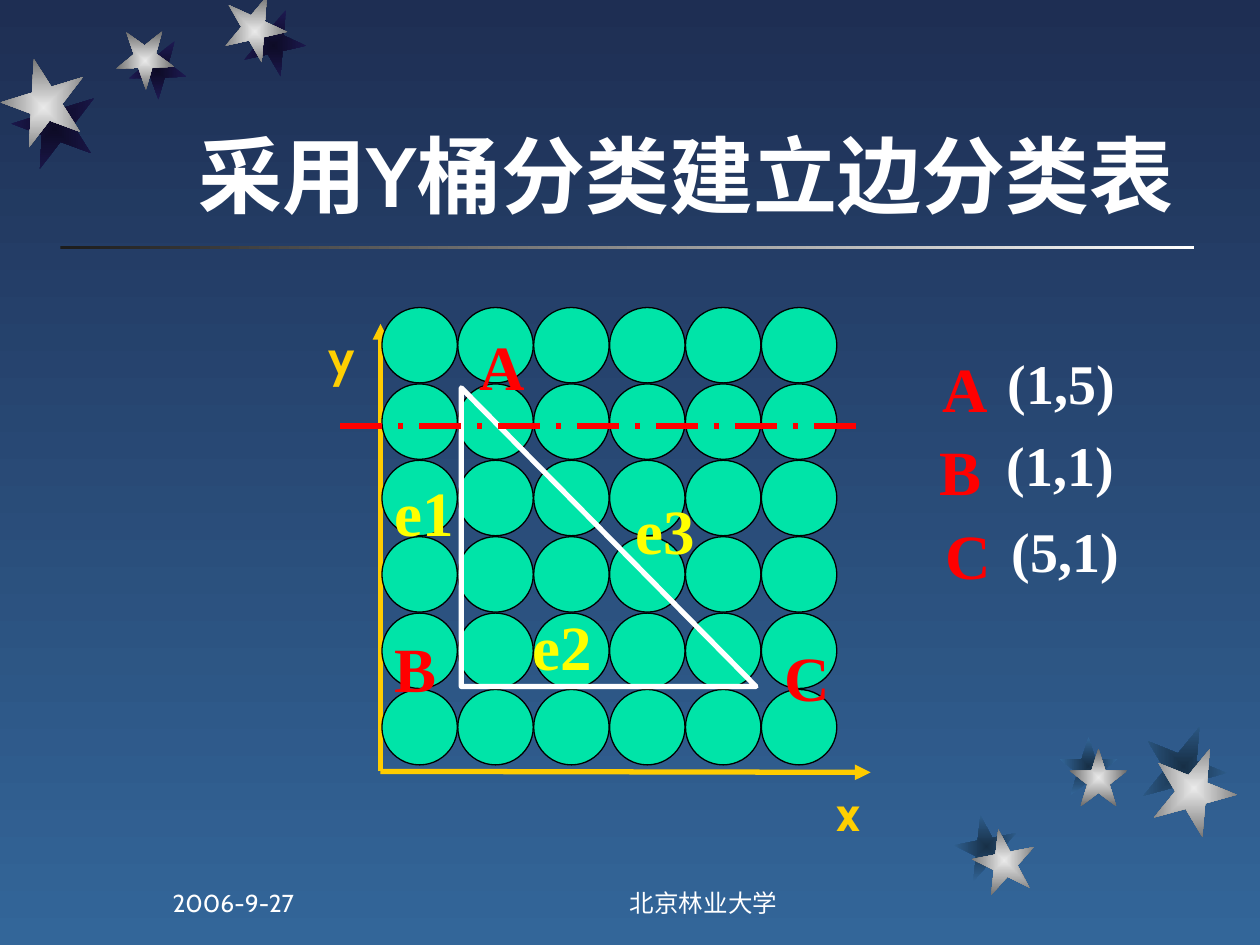
from dataclasses import dataclass

import pptx
import pptx.dml.color
import pptx.enum.dml
import pptx.enum.shapes
import pptx.enum.text
import pptx.oxml
import pptx.oxml.ns
import pptx.util
from pptx.util import Cm

SHAPE = pptx.enum.shapes.MSO_SHAPE
ANCHOR = pptx.enum.text.MSO_ANCHOR
ALIGN = pptx.enum.text.PP_ALIGN


@dataclass(frozen=True)
class Theme:
    sky: tuple = ("1E2E53", "336699")
    rule: tuple = ("1C1C1C", "FFFFFF")
    star: tuple = ("EAEAEA", "6B6B6B")
    dark_shadow: tuple = ("0D0B26", "1E1A53")
    blue_shadow: tuple = ("172F46", "336699")
    white: str = "FFFFFF"
    black: str = "000000"
    pixel: str = "00E4A8"
    axis: str = "FFCC00"
    axis_name: str = "FFCF01"
    vertex: str = "FF0000"
    edge: str = "FFFF00"
    sans: str = "Cabin"
    serif: str = "Times New Roman"
    title_size: int = 48
    label_size: int = 36
    point_size: int = 32
    axis_size: int = 28
    footer_size: int = 14
    stroke: float = 3
    outline: float = 0.75


THEME = Theme()


@dataclass(frozen=True)
class Star:
    left: float
    top: float
    size: float
    turn: float
    shadow_left: float
    shadow_top: float
    shadow: tuple


@dataclass(frozen=True)
class Label:
    text: str
    left: float
    top: float
    width: float
    height: float
    size: int
    color: str
    font: str = THEME.serif
    bold: bool = True
    grow: bool = True
    align: ALIGN = ALIGN.LEFT


def rgb(value: str) -> pptx.dml.color.RGBColor:
    return pptx.dml.color.RGBColor.from_string(value)


def fill_gradient(fill, colors: tuple, angle: float = 0) -> None:
    fill.gradient()
    fill.gradient_angle = angle
    for stop, color, position in zip(fill.gradient_stops, colors, (0, 1)):
        stop.color.rgb = rgb(color)
        stop.position = position


def add_shape(slide, kind: SHAPE, left: float, top: float, width: float, height: float):
    shape = slide.shapes.add_shape(kind, Cm(left), Cm(top), Cm(width), Cm(height))
    shape.shadow.inherit = False
    shape.line.fill.background()
    return shape


def set_line(line, color: str, width: float) -> None:
    line.color.rgb = rgb(color)
    line.width = pptx.util.Pt(width)


def add_star(slide, left: float, top: float, size: float, turn: float, colors: tuple) -> None:
    star = add_shape(slide, SHAPE.STAR_5_POINT, left, top, size, size)
    star.rotation = turn
    fill_gradient(star.fill, colors)
    # Let the gradient spread from the centre
    linear = star.element.spPr.find(".//" + pptx.oxml.ns.qn("a:lin"))
    linear.getparent().replace(linear, pptx.oxml.parse_xml(
        f'<a:path {pptx.oxml.ns.nsdecls("a")} path="rect">'
        '<a:fillToRect l="50000" t="50000" r="50000" b="50000"/></a:path>'))


def add_line(slide, start: tuple, end: tuple, color: str, arrow: bool = False):
    line = slide.shapes.add_connector(
        pptx.enum.shapes.MSO_CONNECTOR.STRAIGHT, *map(Cm, start + end))
    set_line(line.line, color, THEME.stroke)
    if arrow:
        line.line._get_or_add_ln().append(pptx.oxml.parse_xml(
            f'<a:tailEnd {pptx.oxml.ns.nsdecls("a")} type="triangle"/>'))
    line.element.spPr.append(pptx.oxml.parse_xml(
        f'<a:effectLst {pptx.oxml.ns.nsdecls("a")}/>'))
    return line


def add_label(slide, label: Label) -> None:
    box = slide.shapes.add_textbox(
        Cm(label.left), Cm(label.top), Cm(label.width), Cm(label.height))
    frame = box.text_frame
    frame.word_wrap = not label.grow
    if label.grow:
        frame.auto_size = pptx.enum.text.MSO_AUTO_SIZE.SHAPE_TO_FIT_TEXT
    frame.vertical_anchor = ANCHOR.TOP if label.grow else ANCHOR.BOTTOM
    frame.text = label.text
    paragraph = frame.paragraphs[0]
    paragraph.alignment = label.align
    paragraph.font.name = label.font
    paragraph.font.size = pptx.util.Pt(label.size)
    paragraph.font.bold = label.bold
    paragraph.font.color.rgb = rgb(label.color)


def vertex_label(text: str, left: float, top: float) -> Label:
    return Label(text, left, top, 1.42, 1.78, THEME.label_size, THEME.vertex)


def edge_label(text: str, left: float, top: float) -> Label:
    return Label(text, left, top, 2.13, 1.78, THEME.label_size, THEME.edge)


def point_label(text: str, left: float, top: float) -> Label:
    return Label(text, left, top, 2.67, 1.63, THEME.point_size, THEME.white)


def axis_label(text: str, left: float, top: float) -> Label:
    return Label(text, left, top, 1.07, 1.45, THEME.axis_size, THEME.axis_name, THEME.sans)


def footer_label(text: str, left: float, width: float, align: ALIGN) -> Label:
    return Label(text, left, 17.35, width, 1.27, THEME.footer_size, THEME.white,
                 THEME.sans, False, False, align)


STARS = [
    Star(4.5, 0, 1.27, 167.3, 4.88, 0.28, THEME.dark_shadow),
    Star(2.34, 0.64, 1.17, 178.3, 2.59, 0.84, THEME.dark_shadow),
    Star(0.03, 1.32, 1.7, 200.3, 0.25, 1.75, THEME.dark_shadow),
    Star(19.61, 16.71, 1.27, 349, 19.25, 16.43, THEME.blue_shadow),
    Star(21.56, 15.09, 1.17, 0, 21.36, 14.86, THEME.blue_shadow),
    Star(23.22, 15.04, 1.7, 22, 23.01, 14.6, THEME.blue_shadow),
]

LABELS = [
    Label("采用Y桶分类建立边分类表", 3.76, 0.58, 21.64, 4.06, THEME.title_size,
          THEME.white, THEME.sans, grow=False),
    axis_label("x", 16.61, 15.65), axis_label("y", 6.38, 6.45),
    vertex_label("A", 9.42, 6.48), vertex_label("B", 7.7, 12.57),
    vertex_label("C", 15.57, 12.75),
    vertex_label("A", 18.75, 6.93), point_label("(1,5)", 20.07, 6.91),
    vertex_label("B", 18.69, 8.59), point_label("(1,1)", 20.04, 8.56),
    vertex_label("C", 18.82, 10.29), point_label("(5,1)", 20.14, 10.29),
    edge_label("e1", 7.7, 9.42), edge_label("e2", 10.49, 12.12),
    edge_label("e3", 12.57, 9.78),
    footer_label("北京林业大学", 10.16, 8.05, ALIGN.CENTER),
    footer_label("2006-9-27", 3.23, 5.28, ALIGN.LEFT),
]

GRID_COUNT, GRID_LEFT, GRID_TOP = 6, 7.7, 6.2
COLUMN_STEP, ROW_STEP, PIXEL_SIZE = 1.53, 1.54, 1.52


def main() -> None:
    deck = pptx.Presentation()
    deck.slide_width, deck.slide_height = Cm(25.4), Cm(19.05)
    slide = deck.slides.add_slide(deck.slide_layouts[6])

    # Backdrop: sky, rule under the title, stars over their shadows
    fill_gradient(slide.background.fill, THEME.sky, 270)
    rule = add_shape(slide, SHAPE.RECTANGLE, 1.22, 4.95, 22.86, 0.08)
    fill_gradient(rule.fill, THEME.rule)
    for star in STARS:
        add_star(slide, star.shadow_left, star.shadow_top, star.size, star.turn, star.shadow)
    for star in STARS:
        add_star(slide, star.left, star.top, star.size, star.turn, THEME.star)

    # Axes
    origin = (7.67, 15.55)
    for tip in ((7.67, 6.53), (17.55, 15.57)):
        add_line(slide, origin, tip, THEME.axis, arrow=True)

    # Pixel grid
    for row in range(GRID_COUNT):
        for column in range(GRID_COUNT):
            pixel = add_shape(slide, SHAPE.OVAL, GRID_LEFT + column * COLUMN_STEP,
                              GRID_TOP + row * ROW_STEP, PIXEL_SIZE, PIXEL_SIZE)
            pixel.fill.solid()
            pixel.fill.fore_color.rgb = rgb(THEME.pixel)
            set_line(pixel.line, THEME.black, THEME.outline)

    # Triangle ABC and the scan line
    triangle = add_shape(slide, SHAPE.RIGHT_TRIANGLE, 9.3, 7.82, 5.94, 6.02)
    triangle.fill.background()
    set_line(triangle.line, THEME.white, THEME.stroke)
    scan_line = add_line(slide, (6.86, 8.59), (17.32, 8.59), THEME.vertex)
    scan_line.line.dash_style = pptx.enum.dml.MSO_LINE.LONG_DASH_DOT

    # Title, names, coordinates and footer
    for label in LABELS:
        add_label(slide, label)

    deck.save("out.pptx")


if __name__ == "__main__":
    main()
